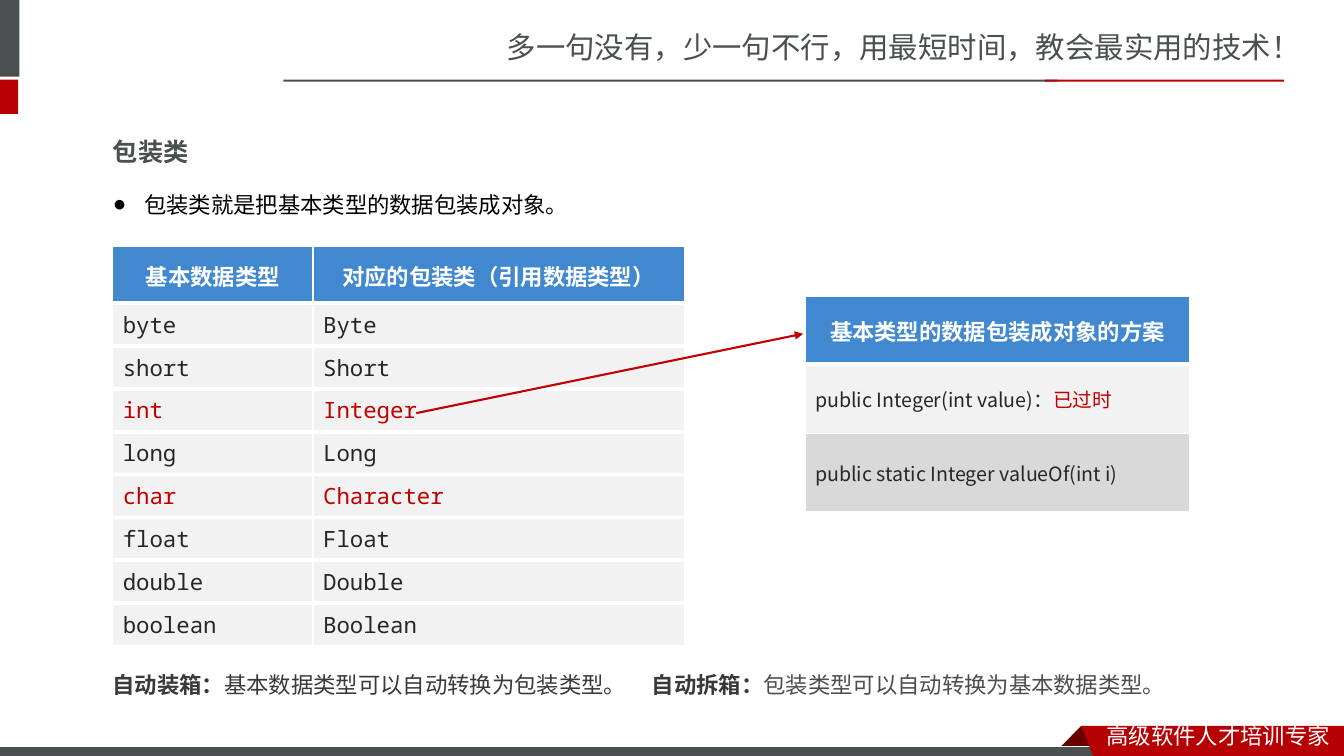
from dataclasses import dataclass
from lxml.etree import SubElement
from pptx import Presentation
from pptx.dml.color import RGBColor
from pptx.enum.shapes import MSO_CONNECTOR as Link, MSO_SHAPE as Kind
from pptx.enum.text import MSO_ANCHOR as Anchor, MSO_AUTO_SIZE as Fit, PP_ALIGN as Align
from pptx.oxml import parse_xml
from pptx.oxml.ns import nsdecls, qn
from pptx.util import Cm, Pt


@dataclass(frozen=True)
class Theme:
    slate: str = "49504F"
    red: str = "B60004"
    fold: str = "680000"
    alert: str = "C00000"
    blue: str = "4188CE"
    pale: str = "F2F2F2"
    grey: str = "D9D9D9"
    white: str = "FFFFFF"
    black: str = "000000"
    ink: str = "262626"
    term: str = "393939"
    note: str = "4D4D4D"
    banner: int = 21
    head: int = 18
    text: int = 16
    code: int = 14
    sans: str = "Noto Sans CJK JP"
    brand: str = "Noto Sans CJK SC"
    mono: str = "Noto Sans Mono"
    plain: str = "Roboto"


T = Theme()
TYPES = ["byte Byte", "short Short", "int Integer", "long Long",
         "char Character", "float Float", "double Double", "boolean Boolean"]
MARKED = {"int", "char"}


def rgb(code):
    return RGBColor.from_string(code)


def style(font, size, name, color, bold=False):
    """Format a font, for Latin and East Asian letters alike."""
    font.size, font.name, font.bold = Pt(size), name, bold
    font.color.rgb = rgb(color)
    SubElement(font._rPr, qn("a:ea")).set("typeface", name)


def paint(shape, color, line=None):
    shape.shadow.inherit = False
    shape.fill.solid()
    shape.fill.fore_color.rgb = rgb(color)
    if line:
        shape.line.color.rgb = rgb(line)
        shape.line.width = Pt(0.75)
    else:
        shape.line.fill.background()


def bar(slide, box, color, line=None):
    paint(slide.shapes.add_shape(Kind.RECTANGLE, *map(Cm, box)), color, line)


def outline(slide, points, color):
    first, *rest = [(Cm(x), Cm(y)) for x, y in points]
    pen = slide.shapes.build_freeform(*first)
    pen.add_line_segments(rest, close=True)
    paint(pen.convert_to_shape(), color)


def place(shape, box):
    """Move a placeholder and hand back its first paragraph."""
    shape.left, shape.top, shape.width, shape.height = map(Cm, box)
    frame = shape.text_frame
    frame.word_wrap, frame.auto_size = True, Fit.NONE
    frame.vertical_anchor = Anchor.TOP
    para = frame.paragraphs[0]
    para.alignment = Align.LEFT
    para.line_spacing, para.space_before = 2.0, Pt(0)
    return para


def label(slide, box, runs, spacing=None):
    """Add a text box; each run is its text followed by its style."""
    frame = slide.shapes.add_textbox(*map(Cm, box)).text_frame
    frame.word_wrap = True
    para = frame.paragraphs[0]
    para.line_spacing = spacing
    fill(para, runs)


def fill(para, runs):
    for text, *_ in runs:
        para.add_run().text = text
    looks = [look for _, *look in runs]
    if all(look == looks[0] for look in looks):
        style(para.font, *looks[0])
    else:
        for run, look in zip(para.runs, looks):
            style(run.font, *look)


def edge(cell, top, bottom):
    """Draw white borders, with the given top and bottom widths."""
    props = cell._tc.get_or_add_tcPr()
    for spot, (side, width) in enumerate(zip("LRTB", (1, 1, top, bottom))):
        props.insert(spot, parse_xml(
            f'<a:ln{side} {nsdecls("a")} w="{Pt(width)}"><a:solidFill>'
            f'<a:srgbClr val="{T.white}"/></a:solidFill></a:ln{side}>'))


def grid(slide, spot, cols, rows, rules, cells):
    """Add a table; each cell is its fill, alignment and runs."""
    size = sum(cols), sum(rows)
    table = slide.shapes.add_table(
        len(rows), len(cols), *map(Cm, (*spot, *size))).table
    table.first_row = table.horz_banding = False
    for col, width in zip(table.columns, cols):
        col.width = Cm(width)
    for row, height in zip(table.rows, rows):
        row.height = Cm(height)
    for r, line in enumerate(cells):
        for c, (color, align, runs) in enumerate(line):
            cell = table.cell(r, c)
            cell.vertical_anchor = Anchor.MIDDLE
            cell.fill.solid()
            cell.fill.fore_color.rgb = rgb(color)
            edge(cell, *rules[r:r + 2])
            para = cell.text_frame.paragraphs[0]
            para.alignment = align
            if r == 0:
                para.line_spacing = Pt(24)
            fill(para, runs)


def header(text):
    return T.blue, Align.CENTER, [(text, T.text, T.mono, T.white, True)]


def pair(names):
    """Make the two cells that match a basic type with its class."""
    basic, wrapper = names.split()
    color = T.alert if basic in MARKED else T.ink
    return [(T.pale, align, [(name, T.text, T.mono, color)])
            for name, align in ((basic, Align.LEFT), (wrapper, Align.JUSTIFY))]


def arrow(slide, start, end):
    link = slide.shapes.add_connector(Link.STRAIGHT, *map(Cm, (*start, *end)))
    link.line.color.rgb = rgb(T.alert)
    link.line.width = Pt(1.5)
    SubElement(link.line._get_or_add_ln(), qn("a:tailEnd")).set("type", "triangle")
    SubElement(link._element.spPr, qn("a:effectLst"))


def frame(slide):
    """Draw the banner, side marks and footer ribbon."""
    label(slide, (12.52, 0.61, 21.36, 1.19),
          [("多一句没有，少一句不行，用最短时间，教会最实用的技术！",
            T.banner, T.brand, T.slate)])
    bar(slide, (-0.15, 0, 0.64, 1.93), T.slate)
    bar(slide, (-0.15, 2.01, 0.61, 0.86), T.red)
    bar(slide, (7.14, 2.01, 19.51, 0.05), T.slate)
    bar(slide, (26.34, 2.01, 6.02, 0.05), T.red)
    outline(slide, [(27.25, 18.29), (27.81, 18.85), (27.79, 18.87),
                    (26.72, 18.87), (26.7, 18.85)], T.fold)
    bar(slide, (-0.03, 18.82, 27.94, 0.3), T.slate, T.white)
    outline(slide, [(27.25, 18.29), (33.87, 18.29), (33.87, 19.15),
                    (27.58, 19.13)], T.red)
    label(slide, (27.64, 18.06, 6.22, 0.94),
          [("高级软件人才培训专家", T.text, T.brand, T.white)])


def intro(slide):
    title, body = slide.placeholders
    para = place(title, (2.59, 2.54, 16.41, 1.6))
    fill(para, [("包装类", T.head, T.sans, T.slate, True)])
    para = place(body, (2.59, 4, 27.38, 1.45))
    props = para._p.get_or_add_pPr()
    props.set("marL", str(Cm(0.79)))
    props.set("indent", str(Cm(-0.79)))
    SubElement(props, qn("a:buChar")).set("char", "●")
    fill(para, [("包装类就是把基本类型的数据包装成对象。",
                 T.text, T.sans, T.black)])


def main():
    deck = Presentation()
    deck.slide_width, deck.slide_height = Cm(33.87), Cm(19.05)
    slide = deck.slides.add_slide(deck.slide_layouts[1])
    frame(slide)
    intro(slide)
    count = len(TYPES)
    grid(slide, (2.84, 6.22), [5.05, 9.35], [1.42] + [1.08] * count,
         [1] + [3] * count + [1],
         [[header("基本数据类型"), header("对应的包装类（引用数据类型）")],
          *map(pair, TYPES)])
    code = T.code, T.sans
    grid(slide, (20.29, 7.47), [9.7], [1.7, 1.75, 1.98], [1, 3, 1, 1],
         [[header("基本类型的数据包装成对象的方案")],
          [(T.pale, Align.LEFT, [("public Integer(int value)：", *code, T.ink),
                                 ("已过时", *code, T.alert)])],
          [(T.grey, Align.LEFT,
            [("public static Integer valueOf(int i)", *code, T.ink)])]])
    arrow(slide, (10.49, 10.41), (20.24, 8.41))
    for left, width, term, text, face, color in (
            (2.59, 21.59, "自动装箱：", "基本数据类型可以自动转换为包装类型。", T.sans, T.term),
            (16.18, 14.02, "自动拆箱：", "包装类型可以自动转换为基本数据类型。", T.plain, T.note)):
        label(slide, (left, 16.11, width, 1.45),
              [(term, T.text, T.sans, T.term, True),
               (text, T.text, face, color)], 2.0)
    deck.save("out.pptx")


if __name__ == "__main__":
    main()
